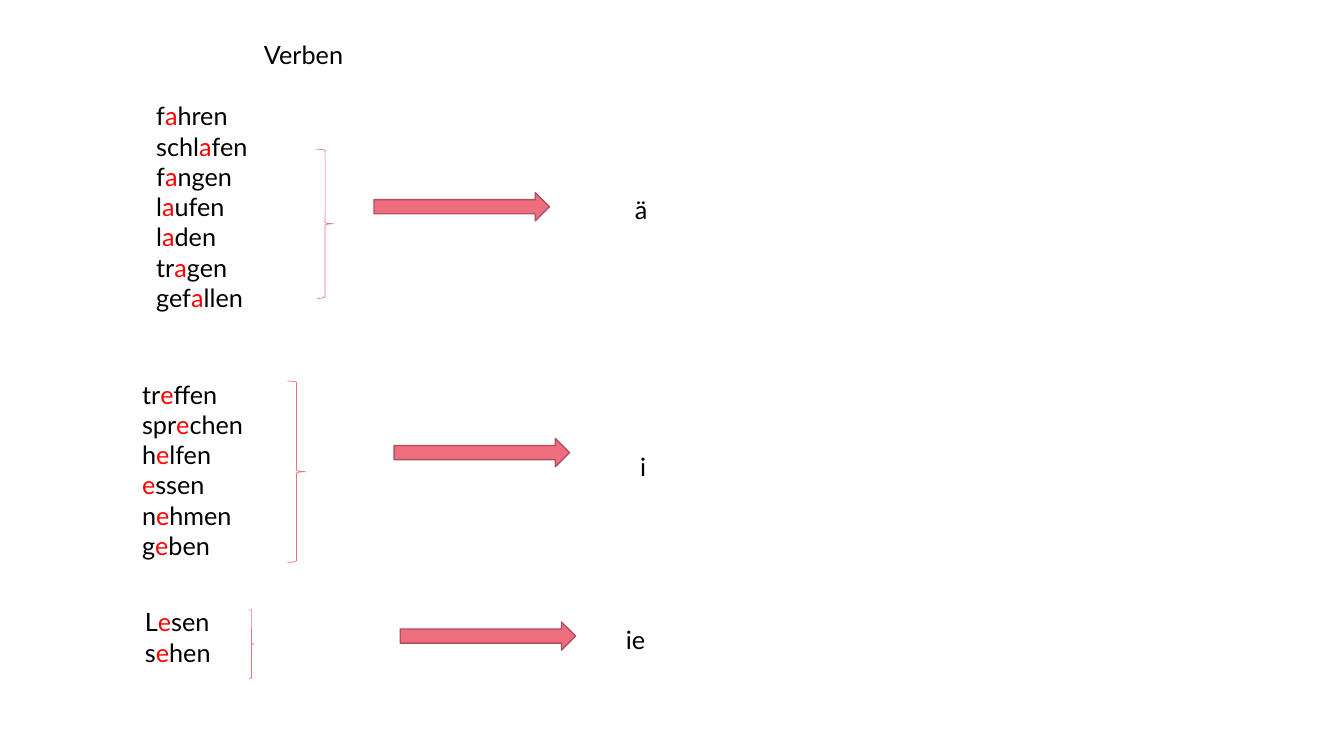
"""Build a slide of German verbs grouped by their stem vowel change."""
from typing import NamedTuple

from pptx import Presentation
from pptx.dml.color import RGBColor
from pptx.enum.shapes import MSO_SHAPE
from pptx.enum.text import MSO_AUTO_SIZE
from pptx.shapes.autoshape import Shape
from pptx.slide import Slide
from pptx.util import Inches, Pt

SLIDE_WIDTH = Inches(13.33)
SLIDE_HEIGHT = Inches(7.5)
BLACK = RGBColor(0x00, 0x00, 0x00)
RED = RGBColor(0xFF, 0x00, 0x00)
PINK = RGBColor(0xEE, 0x6E, 0x80)
DARK_PINK = RGBColor(0xB0, 0x51, 0x5F)
FONT_NAME = "Lato"
FONT_SIZE = Pt(18)
LINE_HEIGHT = 5.33
ARROW_WIDTH = 13.05
ARROW_HEIGHT = 3.73


class Box(NamedTuple):
    """A rectangle in percent of the slide's width and height."""

    left: float
    top: float
    width: float
    height: float

    def lengths(self) -> tuple[int, int, int, int]:
        """Return left, top, width and height in slide units."""
        return (
            int(SLIDE_WIDTH * self.left / 100),
            int(SLIDE_HEIGHT * self.top / 100),
            int(SLIDE_WIDTH * self.width / 100),
            int(SLIDE_HEIGHT * self.height / 100),
        )


class VerbGroup(NamedTuple):
    """Verbs sharing a stem vowel, with the vowel it changes into."""

    verbs: list[str]
    vowel: str
    change: str
    verbs_box: Box
    brace_box: Box
    arrow_box: Box
    change_box: Box


GROUPS = [
    VerbGroup(
        ["fahren", "schlafen", "fangen", "laufen", "laden", "tragen", "gefallen"],
        "a", "ä",
        Box(10.88, 12.67, 9.68, 29.6),
        Box(23.55, 19.73, 1.28, 19.73),
        Box(27.83, 25.47, ARROW_WIDTH, ARROW_HEIGHT),
        Box(46.5, 25.07, 7.05, LINE_HEIGHT),
    ),
    VerbGroup(
        ["treffen", "sprechen", "helfen", "essen", "nehmen", "geben"],
        "e", "i",
        Box(9.83, 49.47, 9.68, 29.6),
        Box(21.38, 50.4, 1.35, 24),
        Box(29.33, 58, ARROW_WIDTH, ARROW_HEIGHT),
        Box(46.88, 59.07, 7.28, LINE_HEIGHT),
    ),
    VerbGroup(
        ["Lesen", "sehen"],
        "e", "ie",
        Box(10.05, 79.6, 7.65, 9.47),
        Box(18.53, 80.67, 0.38, 9.07),
        Box(29.78, 82.27, ARROW_WIDTH, ARROW_HEIGHT),
        Box(45.83, 81.87, 7.28, LINE_HEIGHT),
    ),
]


def add_words(slide: Slide, box: Box, words: list[str], vowel: str = "") -> None:
    """Add one word per paragraph, with its first given vowel in red."""
    text_frame = slide.shapes.add_textbox(*box.lengths()).text_frame
    text_frame.word_wrap = True
    text_frame.auto_size = MSO_AUTO_SIZE.SHAPE_TO_FIT_TEXT
    text_frame.text = "\n".join(words)
    for paragraph, word in zip(text_frame.paragraphs, words):
        if vowel:
            paragraph.clear()
            for part in filter(None, word.partition(vowel)):
                paragraph.add_run().text = part
        for run in paragraph.runs:
            run.font.name = FONT_NAME
            run.font.size = FONT_SIZE
            run.font.color.rgb = RED if run.text == vowel else BLACK


def add_outlined(
    slide: Slide, kind: MSO_SHAPE, box: Box, color: RGBColor, width: float
) -> Shape:
    """Add a preset shape with an outline and no shadow."""
    shape = slide.shapes.add_shape(kind, *box.lengths())
    shape.shadow.inherit = False
    shape.line.color.rgb = color
    shape.line.width = Pt(width)
    return shape


def add_group(slide: Slide, group: VerbGroup) -> None:
    """Add the verbs, brace, arrow and changed vowel of one group."""
    add_words(slide, group.verbs_box, group.verbs, group.vowel)
    brace = add_outlined(slide, MSO_SHAPE.RIGHT_BRACE, group.brace_box, PINK, 0.5)
    brace.fill.background()
    arrow = add_outlined(slide, MSO_SHAPE.RIGHT_ARROW, group.arrow_box, DARK_PINK, 1)
    arrow.fill.solid()
    arrow.fill.fore_color.rgb = PINK
    add_words(slide, group.change_box, [group.change])


presentation = Presentation()
presentation.slide_width = SLIDE_WIDTH
presentation.slide_height = SLIDE_HEIGHT
verb_slide = presentation.slides.add_slide(presentation.slide_layouts[6])
add_words(verb_slide, Box(18.9, 4.53, 14.18, LINE_HEIGHT), ["Verben"])
for verb_group in GROUPS:
    add_group(verb_slide, verb_group)
presentation.save("out.pptx")
